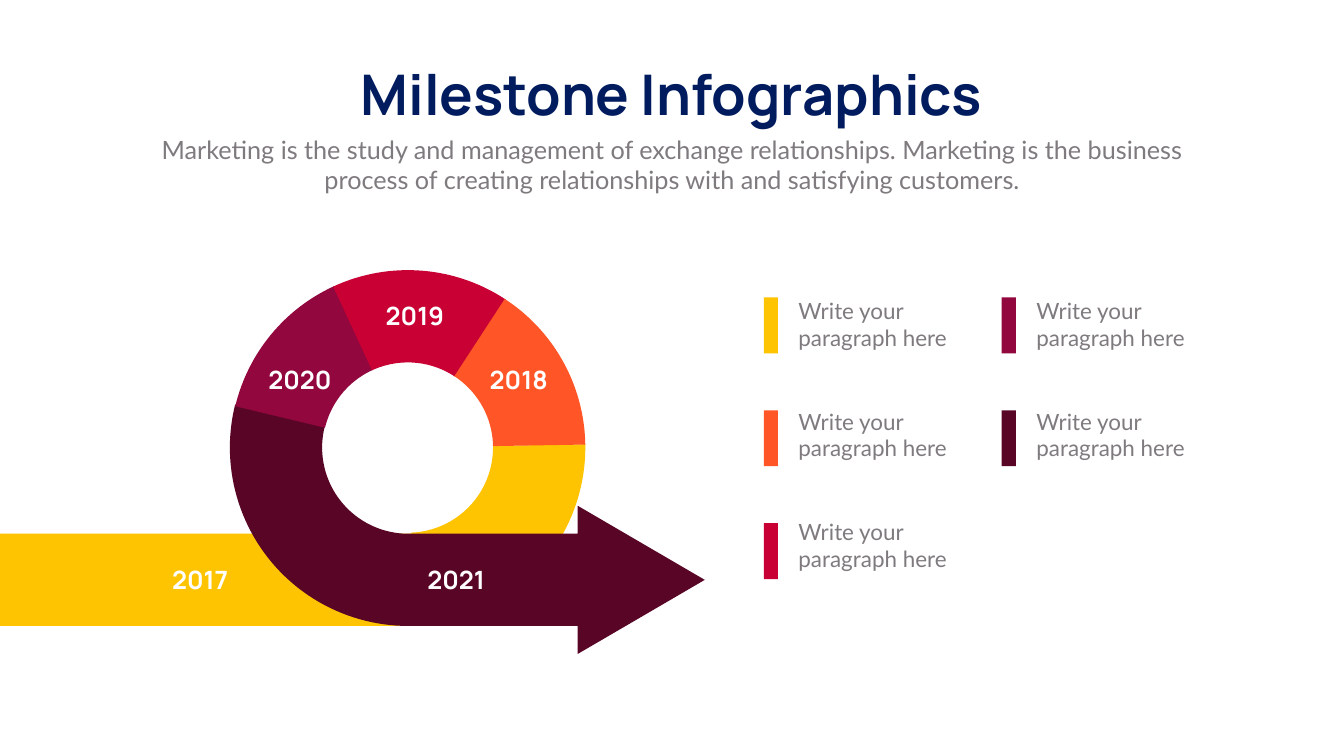
from collections import namedtuple
from dataclasses import dataclass
from math import cos, radians, sin

from pptx import Presentation
from pptx import util as u
from pptx.dml.color import RGBColor
from pptx.enum import shapes, text

Box = namedtuple("Box", "left top width height")


@dataclass(frozen=True)
class Theme:
    navy: str = "001C5E"
    grey: str = "7F7A7E"
    white: str = "FFFFFF"
    yellow: str = "FEC402"
    orange: str = "FF5527"
    crimson: str = "C90034"
    berry: str = "92073E"
    plum: str = "590626"
    heading_font: str = "Manrope"
    body_font: str = "Lato"
    title_size: int = 80
    body_size: int = 36
    legend_size: int = 32


THEME = Theme()
CENTER = text.PP_ALIGN.CENTER
LEFT = text.PP_ALIGN.LEFT


def inches(box):
    return [u.Inches(length) for length in box]


def paint(shape, color):
    shape.shadow.inherit = False
    shape.fill.solid()
    shape.fill.fore_color.rgb = RGBColor.from_string(color)
    shape.line.fill.background()


def add_text(page, box, words, size, font, color, bold=False, align=CENTER, wrap=True):
    frame = page.shapes.add_textbox(*inches(box)).text_frame
    frame.word_wrap = wrap
    frame.auto_size = text.MSO_AUTO_SIZE.SHAPE_TO_FIT_TEXT
    para = frame.paragraphs[0]
    para.alignment = align
    span = para.add_run()
    span.text = words
    span.font.size = u.Pt(size)
    span.font.name = font
    span.font.bold = bold
    span.font.color.rgb = RGBColor.from_string(color)


def add_bar(parent, box, color):
    bar = parent.shapes.add_shape(shapes.MSO_SHAPE.RECTANGLE, *inches(box))
    paint(bar, color)


def add_ring_segment(group, box, rotation, start, end, color):
    segment = group.shapes.add_shape(shapes.MSO_SHAPE.BLOCK_ARC, *inches(box))
    segment.rotation = rotation
    for index, value in enumerate((start, end, 0.26)):
        segment.adjustments[index] = value
    paint(segment, color)


def arc_points(center_x, center_y, radius, angles):
    return [(center_x + radius * cos(radians(angle)),
             center_y + radius * sin(radians(angle))) for angle in angles]


def add_arrow(group, box):
    center_x, center_y = box.left + 8.1, box.top + 3.52
    outer, inner = 3.54, 1.71
    neck, tip = box.left + 11.46, box.left + box.width
    middle, half_head = center_y + (outer + inner) / 2, 1.47
    angles = range(90, 195, 2)
    outline = arc_points(center_x, center_y, outer, angles)
    outline += arc_points(center_x, center_y, inner, reversed(angles))
    outline += [(neck, center_y + inner), (neck, middle - half_head), (tip, middle),
                (neck, middle + half_head), (neck, center_y + outer)]
    points = [(u.Inches(x), u.Inches(y)) for x, y in outline]
    builder = group.shapes.build_freeform(*points[0])
    builder.add_line_segments(points[1:], close=True)
    paint(builder.convert_to_shape(), THEME.plum)


def add_header(page, box):
    add_text(page, Box(box.left + 3.69, box.top, 13.43, 1.45), "Milestone Infographics",
             THEME.title_size, THEME.heading_font, THEME.navy, bold=True, wrap=False)
    add_text(page, Box(box.left, box.top + 1.47, box.width, 1.31),
             "Marketing is the study and management of exchange relationships. "
             "Marketing is the business process of creating relationships with "
             "and satisfying customers.",
             THEME.body_size, THEME.body_font, THEME.grey)


def add_milestone_loop(page, box):
    group = page.shapes.add_group_shape()
    ring = Box(box.left + 4.57, box.top, 7.04, 7.04)
    add_ring_segment(group, ring, 180, 107.35, 160.74, THEME.yellow)
    add_bar(group, Box(box.left, box.top + 5.23, 8.27, 1.83), THEME.yellow)
    add_arrow(group, box)
    for rotation, start, end, color in (
        (15, 107.07, 138.31, THEME.berry),
        (67, 106.88, 141.9, THEME.crimson),
        (126, 106.26, 139.82, THEME.orange),
    ):
        add_ring_segment(group, ring, rotation, start, end, color)
    for year, x, y in (
        ("2017", 2.92, 5.79),
        ("2018", 9.24, 1.82),
        ("2019", 7.18, 0.54),
        ("2020", 4.9, 1.82),
        ("2021", 8, 5.79),
    ):
        add_text(page, Box(box.left + x, box.top + y, 2.1, 0.71), year,
                 THEME.body_size, THEME.heading_font, THEME.white, bold=True)


def add_legend(page, box):
    columns = ((THEME.yellow, THEME.orange, THEME.crimson), (THEME.berry, THEME.plum))
    for column, colors in enumerate(columns):
        left = box.left + column * 4.72
        for row, color in enumerate(colors):
            add_text(page, Box(left + 0.59, box.top + row * 2.2, 3.27, 1.18),
                     "Write your paragraph here", THEME.legend_size,
                     THEME.body_font, THEME.grey, align=LEFT)
            add_bar(page, Box(left, box.top + 0.06 + row * 2.24, 0.28, 1.11), color)


def main():
    deck = Presentation()
    deck.slide_width, deck.slide_height = u.Inches(26.66), u.Inches(15)
    page = deck.slides.add_slide(deck.slide_layouts[6])
    add_header(page, Box(2.92, 1.14, 20.82, 2.78))
    add_milestone_loop(page, Box(0, 5.36, 13.98, 7.61))
    add_legend(page, Box(15.15, 5.84, 8.58, 5.65))
    deck.save("out.pptx")


if __name__ == "__main__":
    main()
